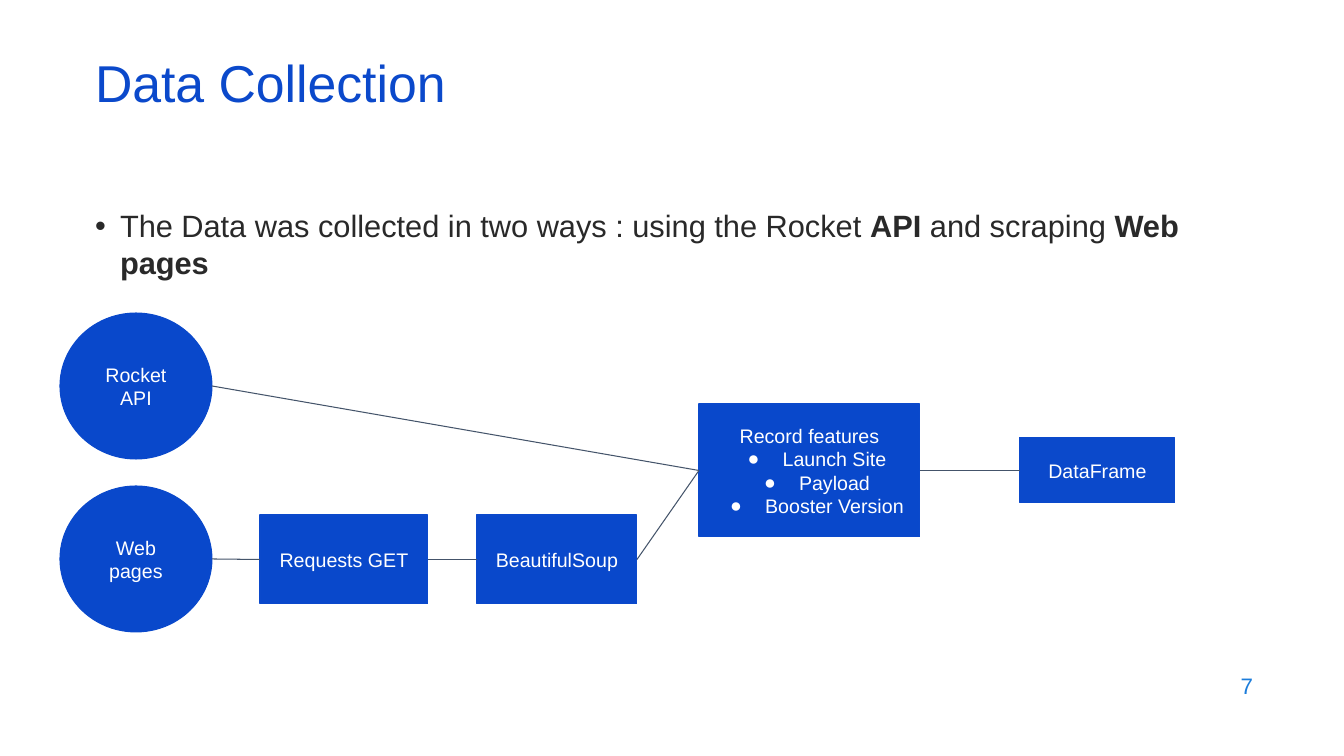
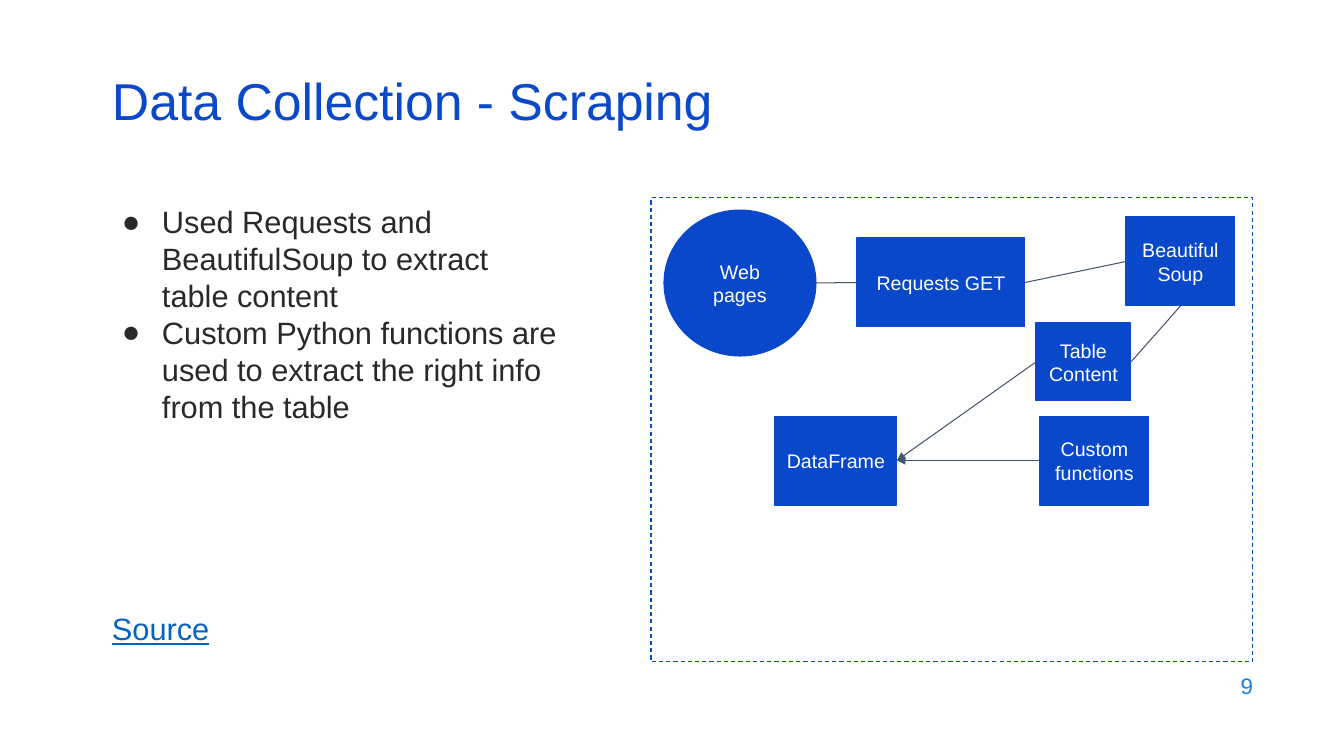
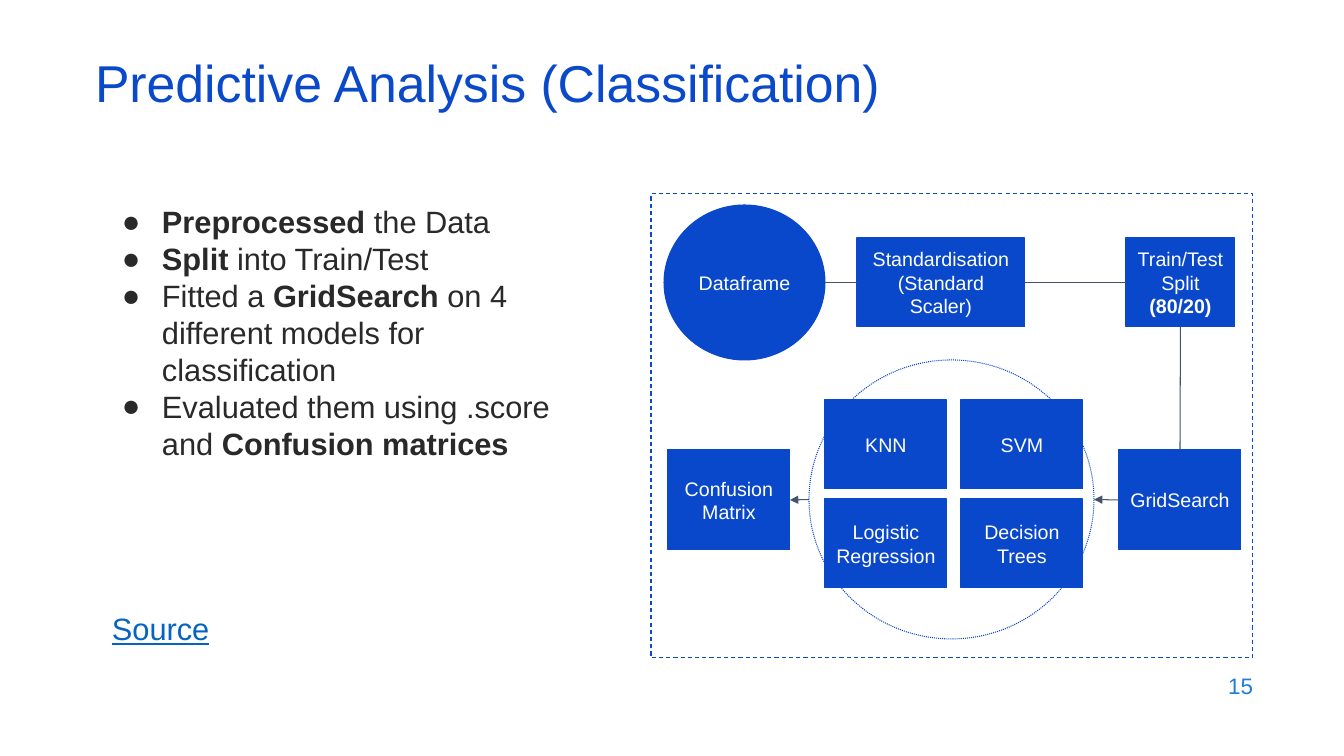
import pptx
import pptx.dml.color
import pptx.enum.dml
import pptx.enum.shapes
import pptx.enum.text
import pptx.oxml
import pptx.oxml.ns
import pptx.util

RGB = pptx.dml.color.RGBColor
TITLE_BLUE = RGB(0x0B, 0x49, 0xCB)
BLOCK_BLUE = RGB(0x09, 0x48, 0xCB)
NUMBER_BLUE = RGB(0x1C, 0x7D, 0xDB)
LINK_BLUE = RGB(0x05, 0x63, 0xC1)
INK = RGB(0x29, 0x29, 0x29)
SLATE = RGB(0x44, 0x54, 0x6A)
WHITE = RGB(0xFF, 0xFF, 0xFF)

ALIGN = pptx.enum.text.PP_ALIGN
ANCHOR = pptx.enum.text.MSO_ANCHOR
DASH = pptx.enum.dml.MSO_LINE
RECTANGLE = pptx.enum.shapes.MSO_SHAPE.RECTANGLE
ELLIPSE = pptx.enum.shapes.MSO_SHAPE.OVAL
STRAIGHT = pptx.enum.shapes.MSO_CONNECTOR.STRAIGHT
TOP, LEFT, BOTTOM, RIGHT = range(4)

EMU_PER_PX = 914400 / 100.8
LINE_WIDTH = pptx.util.Pt(0.75)


def px(length):
    return round(length * EMU_PER_PX)


def apply(target, values):
    for name, value in values.items():
        setattr(target, name, value)


def element(tag, **attributes):
    node = pptx.oxml.parse_xml(f"<a:{tag} {pptx.oxml.ns.nsdecls('a')}/>")
    for name, value in attributes.items():
        node.set(name, str(value))
    return node


class Deck:
    TITLE = {"size": pptx.util.Pt(37), "color": TITLE_BLUE}
    BODY = {"size": pptx.util.Pt(22), "color": INK}
    LINK = {"size": pptx.util.Pt(22), "color": LINK_BLUE, "underline": True}
    NUMBER = {"size": pptx.util.Pt(16), "color": NUMBER_BLUE}
    LABEL = {"size": pptx.util.Pt(14), "color": WHITE}

    def __init__(self):
        self.presentation = pptx.Presentation()
        apply(self.presentation, {"slide_width": px(1344), "slide_height": px(756)})

    def page(self, title, number, left=85, top=59):
        layout = self.presentation.slide_layouts[6]
        self.shapes = self.presentation.slides.add_slide(layout).shapes
        self.text((left, top, 1159, 60), [title], self.TITLE,
                  ANCHOR.MIDDLE, {"line_spacing": 0.7})
        self.text((961, 664, 302, 44), [str(number)], self.NUMBER,
                  ANCHOR.MIDDLE, {"alignment": ALIGN.RIGHT})

    def set_lines(self, frame, lines, style, paragraph_format, bullet=None, plain=0):
        for index, line in enumerate(lines):
            paragraph = frame.paragraphs[0] if index == 0 else frame.add_paragraph()
            apply(paragraph, paragraph_format)
            if bullet and index >= plain:
                self.bullet(paragraph, style["color"], *bullet)
            for position, words in enumerate(line.split("*")):
                if words:
                    run = paragraph.add_run()
                    run.text = words
                    values = {"name": "Arial", "bold": position % 2 == 1, **style}
                    run.font.color.rgb = values.pop("color")
                    apply(run.font, values)

    def bullet(self, paragraph, color, char, margin, hanging):
        properties = paragraph._p.get_or_add_pPr()
        properties.set("marL", str(px(margin)))
        properties.set("indent", str(-px(hanging)))
        tint = element("buClr")
        tint.append(element("srgbClr", val=color))
        for node in (tint, element("buFont", typeface="Arial"), element("buChar", char=char)):
            properties.append(node)

    def fit(self, frame, anchor, inset):
        apply(frame, {"word_wrap": True, "vertical_anchor": anchor,
                      "margin_left": px(10), "margin_right": px(10),
                      "margin_top": px(inset), "margin_bottom": px(inset)})

    def text(self, box, lines, style, anchor=ANCHOR.TOP, paragraph_format={}, bullet=None):
        frame = self.shapes.add_textbox(*map(px, box)).text_frame
        self.fit(frame, anchor, 5)
        self.set_lines(frame, lines, style, paragraph_format, bullet)

    def outline(self, box, kind=RECTANGLE, color=TITLE_BLUE, dash=None):
        shape = self.shapes.add_shape(kind, *map(px, box))
        shape.shadow.inherit = False
        shape.fill.background()
        shape.line.color.rgb = color
        apply(shape.line, {"width": LINE_WIDTH, "dash_style": dash})
        return shape

    def block(self, box, *lines, kind=RECTANGLE, fill=BLOCK_BLUE, bullet=None):
        shape = self.outline(box, kind, TITLE_BLUE if kind == RECTANGLE else fill)
        shape.fill.solid()
        shape.fill.fore_color.rgb = fill
        self.fit(shape.text_frame, ANCHOR.MIDDLE, 10)
        self.set_lines(shape.text_frame, lines, self.LABEL,
                       {"alignment": ALIGN.CENTER}, bullet, plain=1)
        return shape

    def side_point(self, shape, side):
        across = {LEFT: 0, RIGHT: 2}.get(side, 1)
        down = {TOP: 0, BOTTOM: 2}.get(side, 1)
        return (shape.left + shape.width * across // 2,
                shape.top + shape.height * down // 2)

    def link(self, start, start_side, end, end_side, arrow=False):
        line = self.shapes.add_connector(
            STRAIGHT, *self.side_point(start, start_side), *self.side_point(end, end_side))
        for join, shape, side in ((line.begin_connect, start, start_side),
                                  (line.end_connect, end, end_side)):
            if shape.auto_shape_type == RECTANGLE:
                join(shape, side)
        line.line.color.rgb = SLATE
        line.line.width = LINE_WIDTH
        if arrow:
            line.line._get_or_add_ln().append(element("tailEnd", type="triangle"))
        line._element.spPr.append(element("effectLst"))

    def summary(self, *points):
        self.text((102, 198, 468, 380), points, self.BODY, bullet=("●", 50, 40))
        self.text((102, 605, 468, 46), ["Source"], self.LINK)


def collection(deck):
    deck.page("Data Collection", 7)
    deck.text((85, 202, 1159, 90),
              ["The Data was collected in two ways : using the Rocket *API *and scraping *Web pages*"],
              deck.BODY, bullet=("•", 25, 25))
    api = deck.block((60, 313, 152, 146), "Rocket", "API", kind=ELLIPSE)
    web = deck.block((60, 486, 152, 146), "Web pages", kind=ELLIPSE)
    requests = deck.block((260, 515, 168, 89), "Requests GET")
    soup = deck.block((477, 515, 160, 89), "BeautifulSoup")
    features = deck.block((699, 404, 221, 133), "Record features", "Launch Site",
                          "Payload", "Booster Version", bullet=("●", 50, 35))
    table = deck.block((1020, 438, 155, 65), "DataFrame", fill=TITLE_BLUE)
    for start, end in ((api, features), (web, requests), (requests, soup),
                       (soup, features), (features, table)):
        deck.link(start, RIGHT, end, LEFT)


def scraping(deck):
    deck.page("Data Collection - Scraping", 9, left=102, top=77)
    deck.summary("Used Requests and BeautifulSoup to extract table content",
                 "Custom Python functions are used to extract the right info from the table")
    deck.outline((651, 198, 602, 464), dash=DASH.DASH)
    web = deck.block((664, 210, 152, 146), "Web pages", kind=ELLIPSE)
    requests = deck.block((857, 238, 168, 89), "Requests GET")
    soup = deck.block((1126, 217, 109, 89), "BeautifulSoup")
    content = deck.block((1036, 323, 95, 78), "Table Content")
    table = deck.block((775, 416, 122, 89), "DataFrame")
    functions = deck.block((1040, 416, 109, 89), "Custom", "functions")
    deck.link(web, RIGHT, requests, LEFT)
    deck.link(requests, RIGHT, soup, LEFT)
    deck.link(content, RIGHT, soup, BOTTOM)
    for source in (content, functions):
        deck.link(source, LEFT, table, RIGHT, arrow=True)


def classification(deck):
    deck.page("Predictive Analysis (Classification)", 15)
    deck.summary("*Preprocessed *the Data", "*Split *into Train/Test",
                 "Fitted a *GridSearch *on 4 different models for classification",
                 "Evaluated them using .score and *Confusion matrices*")
    deck.outline((651, 194, 602, 464), dash=DASH.DASH)
    table = deck.block((664, 205, 161, 155), "Dataframe", kind=ELLIPSE)
    scaler = deck.block((857, 238, 168, 89), "Standardisation", "(Standard Scaler)")
    split = deck.block((1126, 238, 109, 89), "Train/Test Split", "*(80/20)*")
    search = deck.block((1119, 450, 122, 100), "GridSearch")
    matrix = deck.block((668, 450, 122, 100), "Confusion Matrix")
    for index, model in enumerate(("KNN", "SVM", "Logistic Regression", "Decision Trees")):
        row, column = divmod(index, 2)
        deck.block((825 + 136 * column, 400 + 99 * row, 122, 89), model)
    models = deck.outline((809, 360, 285, 279), ELLIPSE, BLOCK_BLUE, DASH.ROUND_DOT)
    deck.link(table, RIGHT, scaler, LEFT)
    deck.link(scaler, RIGHT, split, LEFT)
    deck.link(split, BOTTOM, search, TOP)
    deck.link(search, LEFT, models, RIGHT, arrow=True)
    deck.link(models, LEFT, matrix, RIGHT, arrow=True)


def main():
    deck = Deck()
    for build in (collection, scraping, classification):
        build(deck)
    deck.presentation.save("out.pptx")


if __name__ == "__main__":
    main()
